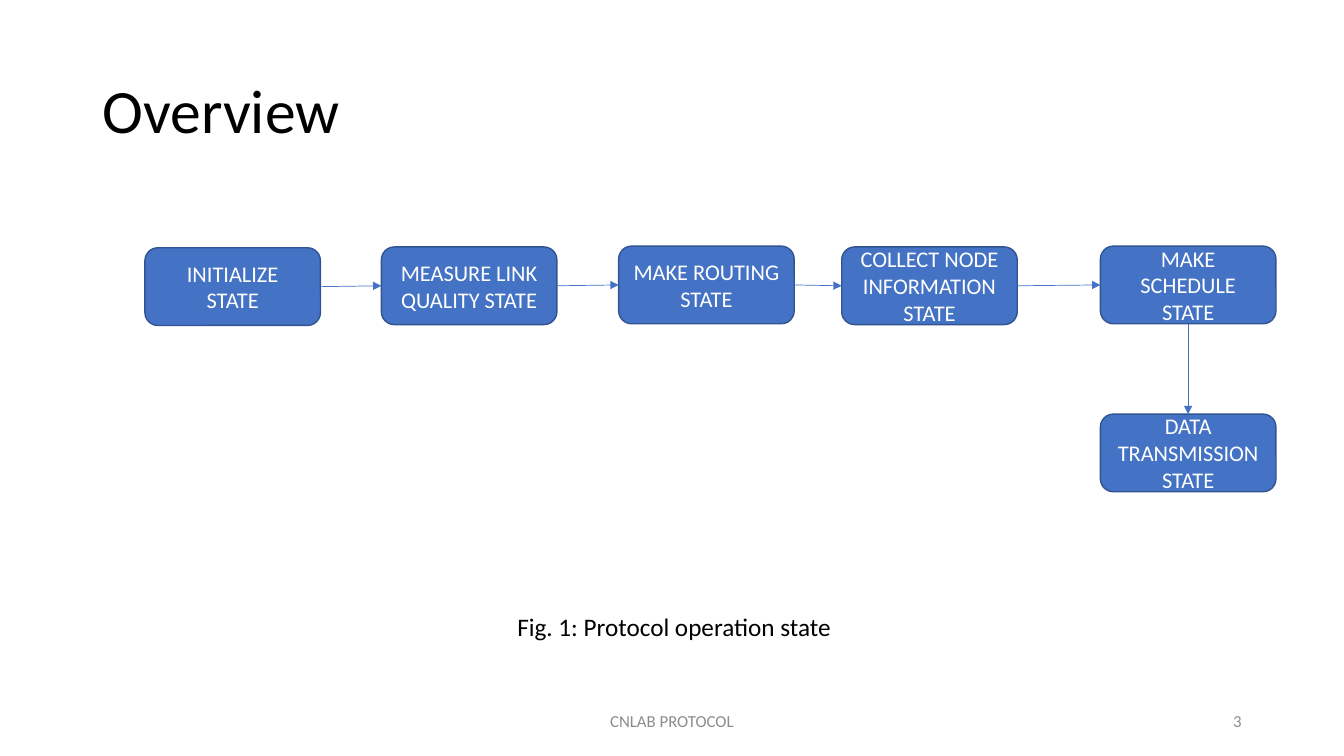
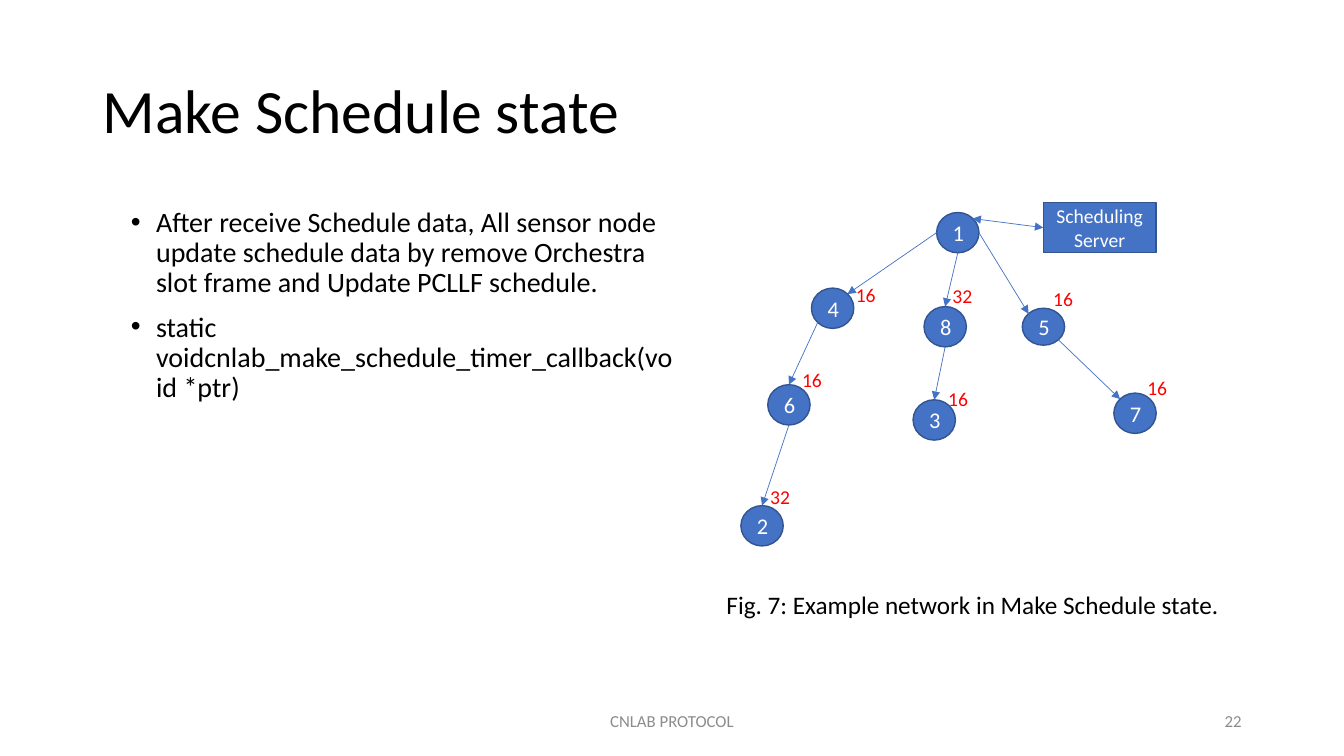
import pptx
import pptx.util
import pptx.dml.color
import pptx.enum.shapes
import pptx.enum.text
import pptx.oxml.ns
from lxml import etree

Align = pptx.enum.text.PP_ALIGN
Anchor = pptx.enum.text.MSO_ANCHOR
Fit = pptx.enum.text.MSO_AUTO_SIZE
Kind = pptx.enum.shapes.MSO_SHAPE
qn = pptx.oxml.ns.qn

BOX_SITES = {"top": (0, 0.5, 0), "left": (1, 0, 0.5),
             "bottom": (2, 0.5, 1), "right": (3, 1, 0.5)}
OVAL_SITES = {"top": (0, 0.5, 0), "top left": (1, 0.15, 0.15),
              "left": (2, 0, 0.5), "bottom left": (3, 0.15, 0.85),
              "bottom": (4, 0.5, 1), "bottom right": (5, 0.85, 0.85),
              "right": (6, 1, 0.5), "top right": (7, 0.85, 0.15)}


def colour(value):
    """Turn a hex string into a colour."""
    return pptx.dml.color.RGBColor.from_string(value)


class Deck:
    """Hold the shared style and the current slide, on a 160 by 90 grid."""

    COLUMNS, ROWS = 160, 90
    FONT = "Calibri"
    BLACK, WHITE, GREY, RED = "000000", "FFFFFF", "8C8C8C", "FF0000"
    BLUE, OUTLINE = "4472C4", "325491"

    def __init__(self):
        """Open an empty wide presentation."""
        self.file = pptx.Presentation()
        self.file.slide_width = pptx.util.Inches(13.33)
        self.file.slide_height = pptx.util.Inches(7.5)
        self.slide = None

    def area(self, column, row, columns, rows):
        """Convert a grid area to slide lengths."""
        across = self.file.slide_width / self.COLUMNS
        down = self.file.slide_height / self.ROWS
        return (round(column * across), round(row * down),
                round(columns * across), round(rows * down))

    def fill_text(self, holder, lines, size, ink, align=Align.LEFT,
                  anchor=Anchor.TOP, wrap=True, spacing=None):
        """Fill a shape with formatted lines of text."""
        frame = holder.text_frame
        frame.text = "\n".join(lines)
        frame.word_wrap = wrap
        frame.auto_size = Fit.NONE if wrap else Fit.SHAPE_TO_FIT_TEXT
        frame.vertical_anchor = anchor
        for paragraph in frame.paragraphs:
            paragraph.alignment = align
            paragraph.line_spacing = spacing
            for run in paragraph.runs:
                run.font.name = self.FONT
                run.font.size = pptx.util.Pt(size)
                run.font.color.rgb = colour(ink)

    def start(self, title, number):
        """Begin a slide with its title, footer and number."""
        layout = self.file.slide_layouts[5]
        self.slide = self.file.slides.add_slide(layout)
        heading = self.slide.shapes.title
        (heading.left, heading.top,
         heading.width, heading.height) = self.area(11, 4.8, 138, 17.4)
        self.fill_text(heading, [title], 44, self.BLACK,
                       anchor=Anchor.MIDDLE, spacing=0.9)
        self.text("CNLAB PROTOCOL", (53, 83.4, 54, 4.8), 12, self.GREY,
                  align=Align.CENTER, anchor=Anchor.MIDDLE)
        self.text(number, (113, 83.4, 36, 4.8), 12, self.GREY,
                  align=Align.RIGHT, anchor=Anchor.MIDDLE)

    def text(self, words, place, size, ink, **style):
        """Add a line of free text."""
        holder = self.slide.shapes.add_textbox(*self.area(*place))
        self.fill_text(holder, [words], size, ink, **style)

    def caption(self, words, place):
        """Add a figure caption."""
        self.text(words, place, 18, self.BLACK, wrap=False)

    def bullets(self, points, place):
        """Add a bulleted list."""
        holder = self.slide.shapes.add_textbox(*self.area(*place))
        self.fill_text(holder, points, 20, self.BLACK, spacing=0.9)
        for paragraph in holder.text_frame.paragraphs:
            paragraph.space_before = pptx.util.Pt(10)
            properties = paragraph._p.get_or_add_pPr()
            indent = pptx.util.Inches(0.25)
            properties.set("marL", str(indent))
            properties.set("indent", str(-indent))
            etree.SubElement(properties, qn("a:buFont"), typeface="Arial")
            etree.SubElement(properties, qn("a:buChar"), char="•")

    def node(self, kind, words, place, size=16):
        """Add a filled diagram node."""
        node = self.slide.shapes.add_shape(kind, *self.area(*place))
        node.shadow.inherit = False
        node.fill.solid()
        node.fill.fore_color.rgb = colour(self.BLUE)
        node.line.color.rgb = colour(self.OUTLINE)
        node.line.width = pptx.util.Pt(1)
        self.fill_text(node, [words], size, self.WHITE,
                       Align.CENTER, Anchor.MIDDLE)
        return node

    def arrow(self, source, source_side, target, target_side, both=False):
        """Join two nodes with an arrow attached to both."""
        points, joints = [], []
        for node, side, tag in ((source, source_side, "a:stCxn"),
                                (target, target_side, "a:endCxn")):
            oval = node.auto_shape_type == Kind.OVAL
            site, across, down = (OVAL_SITES if oval else BOX_SITES)[side]
            points += [round(node.left + across * node.width),
                       round(node.top + down * node.height)]
            joints.append((tag, node.shape_id, site))
        arrow = self.slide.shapes.add_connector(
            pptx.enum.shapes.MSO_CONNECTOR.STRAIGHT, *points)
        arrow.line.color.rgb = colour(self.BLUE)
        arrow.line.width = pptx.util.Pt(0.5)
        links = arrow.element.find(".//" + qn("p:cNvCxnSpPr"))
        for tag, node_id, site in joints:
            etree.SubElement(links, qn(tag), id=str(node_id), idx=str(site))
        line = arrow.element.find(".//" + qn("a:ln"))
        for tag in ("a:headEnd", "a:tailEnd") if both else ("a:tailEnd",):
            etree.SubElement(line, qn(tag), type="triangle")
        etree.SubElement(arrow.element.find(qn("p:spPr")), qn("a:effectLst"))


def overview(deck):
    """Build the chain of protocol states."""
    deck.start("Overview", "3")
    states = [
        deck.node(Kind.ROUNDED_RECTANGLE, words, (column, row, 20.9, 9.25))
        for words, column, row in (
            ("INITIALIZE STATE", 17.25, 29.5),
            ("MEASURE LINK QUALITY STATE", 45.4, 29.4),
            ("MAKE ROUTING STATE", 73.65, 29.3),
            ("COLLECT NODE INFORMATION STATE", 100.2, 29.4),
            ("MAKE SCHEDULE STATE", 131, 29.3),
            ("DATA TRANSMISSION STATE", 131, 49.3))]
    for before, after in zip(states[:-2], states[1:-1]):
        deck.arrow(before, "right", after, "left")
    deck.arrow(states[-2], "bottom", states[-1], "top")
    deck.caption("Fig. 1: Protocol operation state", (60.4, 72.2, 40.2, 4.8))


def make_schedule(deck):
    """Build the schedule notes and the example network."""
    deck.start("Make Schedule state", "22")
    deck.bullets(
        ["After receive Schedule data, All sensor node update schedule data "
         "by remove Orchestra slot frame and Update PCLLF schedule.",
         "static voidcnlab_make_schedule_timer_callback(void *ptr)"],
        (14.4, 24.2, 67.2, 52.8))
    sensors = {
        name: deck.node(Kind.OVAL, name, (column, row, 5.04, rows))
        for name, column, row, rows in (
            ("1", 111.5, 25.3, 4.8), ("2", 88.2, 60.2, 4.8),
            ("3", 108.7, 47.6, 4.8), ("4", 96.6, 34.3, 4.8),
            ("5", 121.7, 36.7, 4.4), ("6", 91.4, 45.8, 4.8),
            ("7", 132.6, 46.8, 4.8), ("8", 110, 36.5, 4.8))}
    for parent, parent_side, child, child_side in (
            ("1", "bottom", "8", "top"), ("1", "left", "4", "top right"),
            ("1", "right", "5", "top left"), ("4", "bottom left", "6", "top"),
            ("8", "bottom", "3", "top"), ("6", "bottom", "2", "top"),
            ("5", "bottom right", "7", "top left")):
        deck.arrow(sensors[parent], parent_side, sensors[child], child_side)
    for slots, column, row in (
            ("16", 100.7, 33.1), ("32", 112.2, 33.2), ("16", 124.2, 33.6),
            ("16", 94.3, 43.2), ("32", 90.5, 57.2), ("16", 111.7, 45.5),
            ("16", 135.4, 44.2)):
        deck.text(slots, (column, row, 4.8, 4.1), 14, deck.RED, wrap=False)
    server = deck.node(Kind.RECTANGLE, "Scheduling Server",
                       (124.2, 24.1, 13.45, 6), 14)
    deck.arrow(sensors["1"], "top right", server, "left", both=True)
    deck.caption("Fig. 7: Example network in Make Schedule state.",
                 (85.3, 69.6, 61.7, 4.8))


def main():
    """Build and save both slides."""
    deck = Deck()
    overview(deck)
    make_schedule(deck)
    deck.file.save("out.pptx")


if __name__ == "__main__":
    main()
